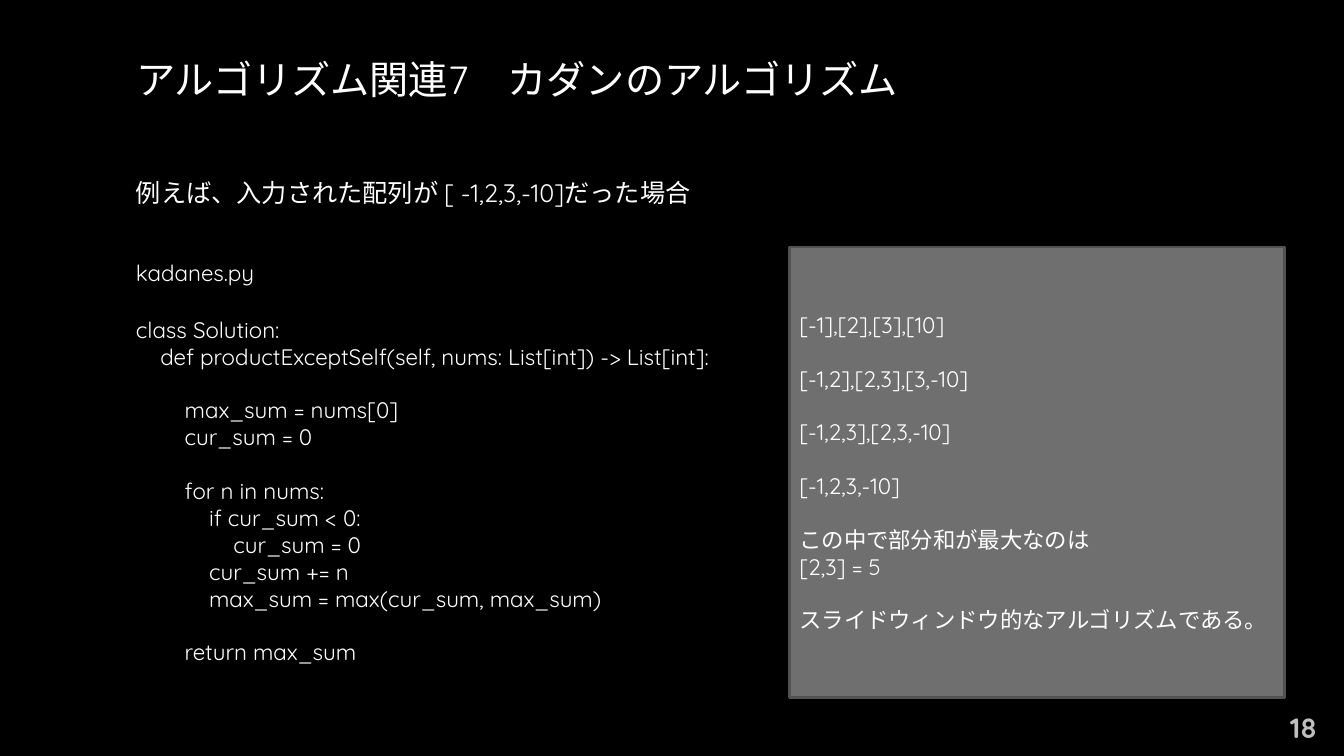
from pptx import Presentation
from pptx.dml.color import RGBColor
from pptx.enum.shapes import MSO_SHAPE
from pptx.enum.text import MSO_ANCHOR, PP_ALIGN
from pptx.util import Inches, Pt

FONT = "Quicksand"
BLACK = RGBColor(0x00, 0x00, 0x00)
WHITE = RGBColor(0xFF, 0xFF, 0xFF)
TITLE_SHADE = RGBColor(0xA6, 0xA6, 0xA6)
NUMBER_GRAY = RGBColor(0xBF, 0xBF, 0xBF)
PANEL_GRAY = RGBColor(0x6F, 0x6F, 0x6F)
PANEL_EDGE = RGBColor(0x52, 0x52, 0x52)

LEFT = 1.25
PANEL_TOP, PANEL_HEIGHT = 2.45, 4.47
LINE_GAP = 19.2

# Each block is set off from the one before it by a gap.
CODE_BLOCKS = [
    ["kadanes.py"],
    ["class Solution:",
     "    def productExceptSelf(self, nums: List[int]) -> List[int]:"],
    ["        max_sum = nums[0]",
     "        cur_sum = 0"],
    ["        for n in nums:",
     "            if cur_sum < 0:",
     "                cur_sum = 0",
     "            cur_sum += n",
     "            max_sum = max(cur_sum, max_sum)"],
    ["        return max_sum"],
]
SUBARRAY_BLOCKS = [
    ["[-1],[2],[3],[10]"],
    ["[-1,2],[2,3],[3,-10]"],
    ["[-1,2,3],[2,3,-10]"],
    ["[-1,2,3,-10]"],
    ["この中で部分和が最大なのは", "[2,3] = 5"],
    ["スライドウィンドウ的なアルゴリズムである。"],
]


def style_runs(paragraph, size, color=WHITE, bold=False):
    for run in paragraph.runs:
        run.font.name = FONT
        run.font.size = Pt(size)
        run.font.bold = bold
        run.font.color.rgb = color


def add_title(slide, text):
    title = slide.shapes.title
    title.left, title.top = Inches(LEFT), Inches(0.19)
    title.width, title.height = Inches(9.38), Inches(1.18)
    frame = title.text_frame
    frame.text = text
    frame.vertical_anchor = MSO_ANCHOR.MIDDLE
    heading = frame.paragraphs[0]
    heading.alignment = PP_ALIGN.LEFT
    style_runs(heading, 28)
    fill = heading.runs[0].font.fill
    fill.gradient()
    fill.gradient_angle = 267
    for stop, color in zip(fill.gradient_stops, (WHITE, TITLE_SHADE)):
        stop.color.rgb = color


def add_label(slide, text, left, top, width, size, color=WHITE, bold=False,
              align=PP_ALIGN.LEFT, anchor=MSO_ANCHOR.TOP):
    label = slide.shapes.add_textbox(
        Inches(left), Inches(top), Inches(width), Inches(0.4))
    frame = label.text_frame
    frame.word_wrap = True
    frame.vertical_anchor = anchor
    frame.text = text
    frame.paragraphs[0].alignment = align
    style_runs(frame.paragraphs[0], size, color, bold)


def add_panel(slide, blocks, left, width, fill, edge):
    panel = slide.shapes.add_shape(
        MSO_SHAPE.RECTANGLE, Inches(left), Inches(PANEL_TOP),
        Inches(width), Inches(PANEL_HEIGHT))
    panel.shadow.inherit = False
    panel.fill.solid()
    panel.fill.fore_color.rgb = fill
    panel.line.color.rgb = edge
    panel.line.width = Pt(1.5)
    frame = panel.text_frame
    frame.word_wrap = True
    frame.vertical_anchor = MSO_ANCHOR.MIDDLE
    frame.text = "\n".join(line for block in blocks for line in block)
    paragraphs = iter(frame.paragraphs)
    for block_index, block in enumerate(blocks):
        for line_index in range(len(block)):
            paragraph = next(paragraphs)
            paragraph.alignment = PP_ALIGN.LEFT
            if block_index and not line_index:
                paragraph.space_before = Pt(LINE_GAP)
            style_runs(paragraph, 16)
    return frame


def main():
    deck = Presentation()
    deck.slide_width, deck.slide_height = Inches(13.33), Inches(7.5)
    slide = deck.slides.add_slide(deck.slide_layouts[5])
    slide.background.fill.solid()
    slide.background.fill.fore_color.rgb = BLACK

    add_title(slide, "アルゴリズム関連7\u3000カダンのアルゴリズム".replace("\u3000", "　"))
    add_label(slide, "18", 12.56, 7.02, 0.6, 20, NUMBER_GRAY, bold=True,
              align=PP_ALIGN.RIGHT, anchor=MSO_ANCHOR.MIDDLE)
    add_label(slide, "例えば、入力された配列が [ -1,2,3,-10]だった場合",
              LEFT, 1.71, 9.6, 18)
    code = add_panel(slide, CODE_BLOCKS, LEFT, 6.14, BLACK, BLACK)
    code.margin_bottom = Inches(0.25)
    code.paragraphs[1].space_before = Pt(21.6)
    add_panel(slide, SUBARRAY_BLOCKS, 7.83, 4.91, PANEL_GRAY, PANEL_EDGE)

    deck.save("out.pptx")


if __name__ == "__main__":
    main()
